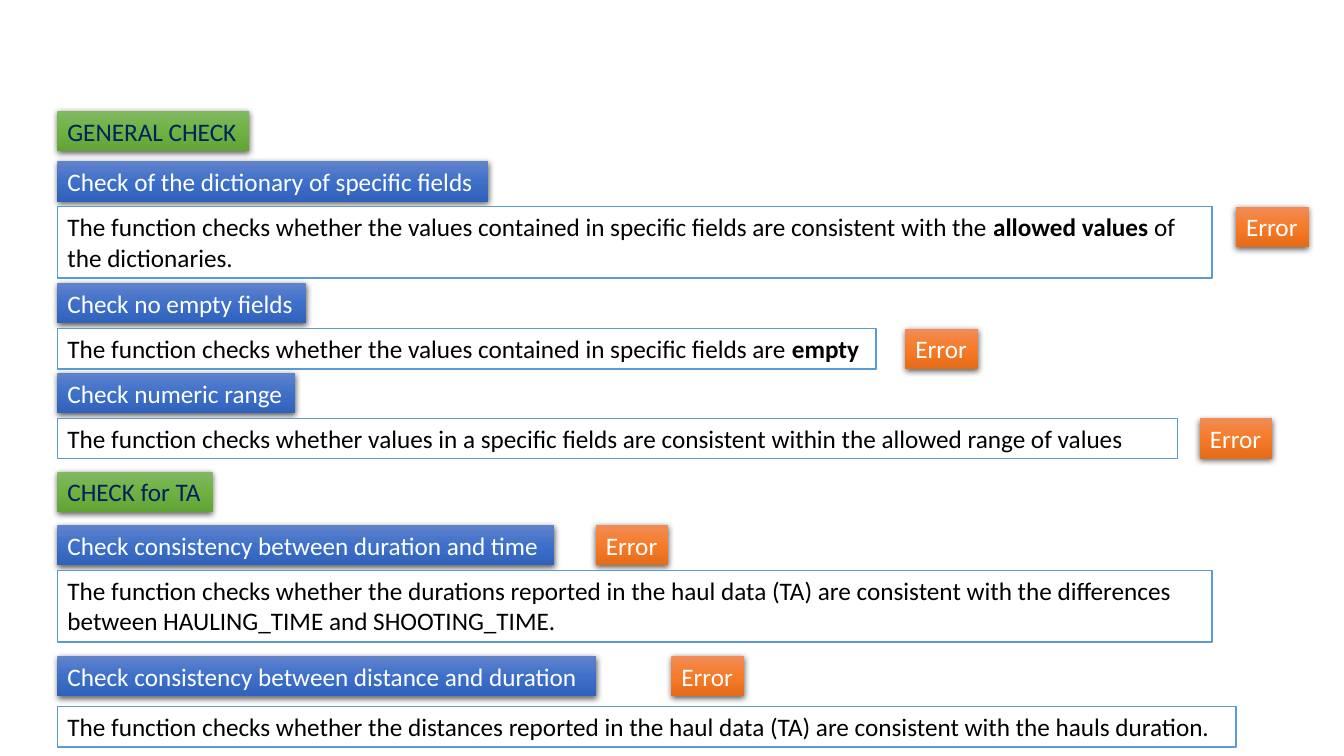
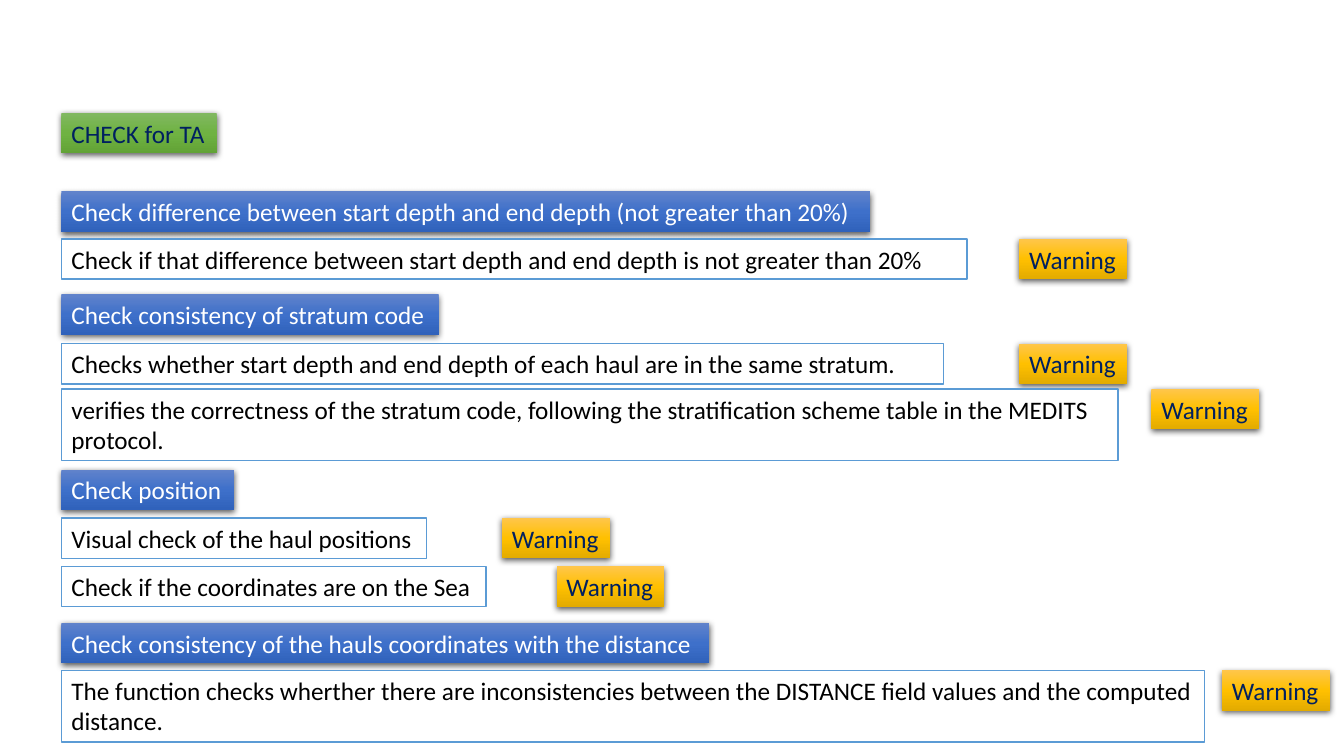
from lxml import etree
from copy import deepcopy
from pptx import Presentation
from pptx.dml.color import RGBColor
from pptx.enum.shapes import MSO_SHAPE
from pptx.enum.text import MSO_ANCHOR, MSO_AUTO_SIZE, PP_ALIGN
from pptx.oxml import parse_xml
from pptx.oxml.ns import nsdecls, qn
from pptx.util import Pt

PX = 9144  # 100 px to the inch
LINE, TALL = 40, 71

# style: fill stops from top to bottom, text colour
STYLES = {
    "part": (["81B861", "6FB242", "62A336"], "002060"),
    "head": (["6183CB", "3E70CA", "3062BB"], "FFFFFF"),
    "note": (["FFFFFF"], "000000"),
    "Error": (["F18C57", "F67B28", "E56C19"], "FFFFFF"),
    "Warning": (["FFC64B", "FFC000", "E3AB00"], "002060"),
}
TAGS = {"Error": 72, "Warning": 107}

SHADOW = f"""<a:effectLst {nsdecls("a")}>
  <a:outerShdw blurRad="57150" dist="19050" dir="5400000" algn="ctr" rotWithShape="0">
    <a:srgbClr val="000000"><a:alpha val="63000"/></a:srgbClr>
  </a:outerShdw>
</a:effectLst>"""

# slide: left edge, tag, rows of (style, top, width, height, text, tag left);
# text between asterisks is bold
SLIDES = [
    (57, "Error", [
        ("part", 110, 190, LINE, "GENERAL CHECK", None),
        ("head", 160, 427, LINE, "Check of the dictionary of specific fields", None),
        ("note", 205, 1145, TALL,
         "The function checks whether the values contained in specific fields are "
         "consistent with the *allowed values *of the dictionaries.", 1226),
        ("head", 281, 247, LINE, "Check no empty fields", None),
        ("note", 326, 812, LINE,
         "The function checks whether the values contained in specific fields are *empty*", 898),
        ("head", 370, 236, LINE, "Check numeric range", None),
        ("note", 415, 1111, LINE,
         "The function checks whether values in a specific fields are consistent "
         "within the allowed range of values", 1190),
        ("part", 468, 154, LINE, "CHECK for TA", None),
        ("head", 521, 493, LINE, "Check consistency between duration and time", 591),
        ("note", 566, 1145, TALL,
         "The function checks whether the durations reported in the haul data (TA) are "
         "consistent with the differences between HAULING_TIME and SHOOTING_TIME.", None),
        ("head", 651, 534, LINE, "Check consistency between distance and duration", 666),
        ("note", 701, 1169, LINE,
         "The function checks whether the distances reported in the haul data (TA) are "
         "consistent with the hauls duration.", None),
    ]),
    (61, "Warning", [
        ("part", 112, 154, LINE, "CHECK for TA", None),
        ("head", 190, 802, LINE,
         "Check difference between start depth and end depth (not greater than 20%)", None),
        ("note", 237, 898, LINE,
         "Check if that difference between start depth and end depth is not greater than 20%",
         1011),
        ("head", 292, 374, LINE, "Check consistency of stratum code", None),
        ("note", 341, 875, LINE,
         "Checks whether start depth and end depth of each haul are in the same stratum.", 1011),
        ("note", 386, 1048, TALL,
         "verifies the correctness of the stratum code, following the stratification "
         "scheme table in the MEDITS protocol.", 1142),
        ("head", 466, 171, LINE, "Check position", None),
        ("note", 514, 362, LINE, "Visual check of the haul positions", 498),
        ("note", 562, 421, LINE, "Check if the coordinates are on the Sea", 552),
        ("head", 618, 642, LINE,
         "Check consistency of the hauls coordinates with the distance", None),
        ("note", 665, 1134, TALL,
         "The function checks wherther there are inconsistencies between the DISTANCE "
         "field values and the computed distance.", 1212),
    ]),
]


def color(code):
    return RGBColor.from_string(code)


def add_box(slide, style, left, top, width, height, text):
    stops, ink = STYLES[style]
    box = slide.shapes.add_shape(
        MSO_SHAPE.RECTANGLE, left * PX, top * PX, width * PX, height * PX)
    box.shadow.inherit = False
    if style == "note":
        box.fill.solid()
        box.fill.fore_color.rgb = color(stops[0])
        box.line.color.rgb = color("5B9BD5")
        box.line.width = Pt(1)
    else:
        box.fill.gradient()
        box.fill.gradient_angle = 270
        ramp = box.element.spPr.find(qn("a:gradFill")).find(qn("a:gsLst"))
        ramp.insert(1, deepcopy(ramp[0]))
        for i, stop in enumerate(box.fill.gradient_stops):
            stop.position = i / 2
            stop.color.rgb = color(stops[i])
        box.line.fill.background()
        props = box.element.spPr
        props.replace(props.find(qn("a:effectLst")), parse_xml(SHADOW))

    frame = box.text_frame
    frame.word_wrap = style == "note"
    frame.auto_size = MSO_AUTO_SIZE.SHAPE_TO_FIT_TEXT
    frame.vertical_anchor = MSO_ANCHOR.TOP
    para = frame.paragraphs[0]
    para.alignment = PP_ALIGN.LEFT
    for i, piece in enumerate(text.split("*")):
        if piece:
            run = para.add_run()
            run.text = piece
            run.font.name = "Calibri"
            run.font.size = Pt(18)
            run.font.bold = i % 2 == 1
            run.font.color.rgb = color(ink)


deck = Presentation()
deck.slide_width, deck.slide_height = 1333 * PX, 750 * PX
for left, tag, rows in SLIDES:
    slide = deck.slides.add_slide(deck.slide_layouts[6])
    for style, top, width, height, text, spot in rows:
        add_box(slide, style, left, top, width, height, text)
        if spot is not None:
            add_box(slide, tag, spot, top, TAGS[tag], LINE, tag)
deck.save("out.pptx")
